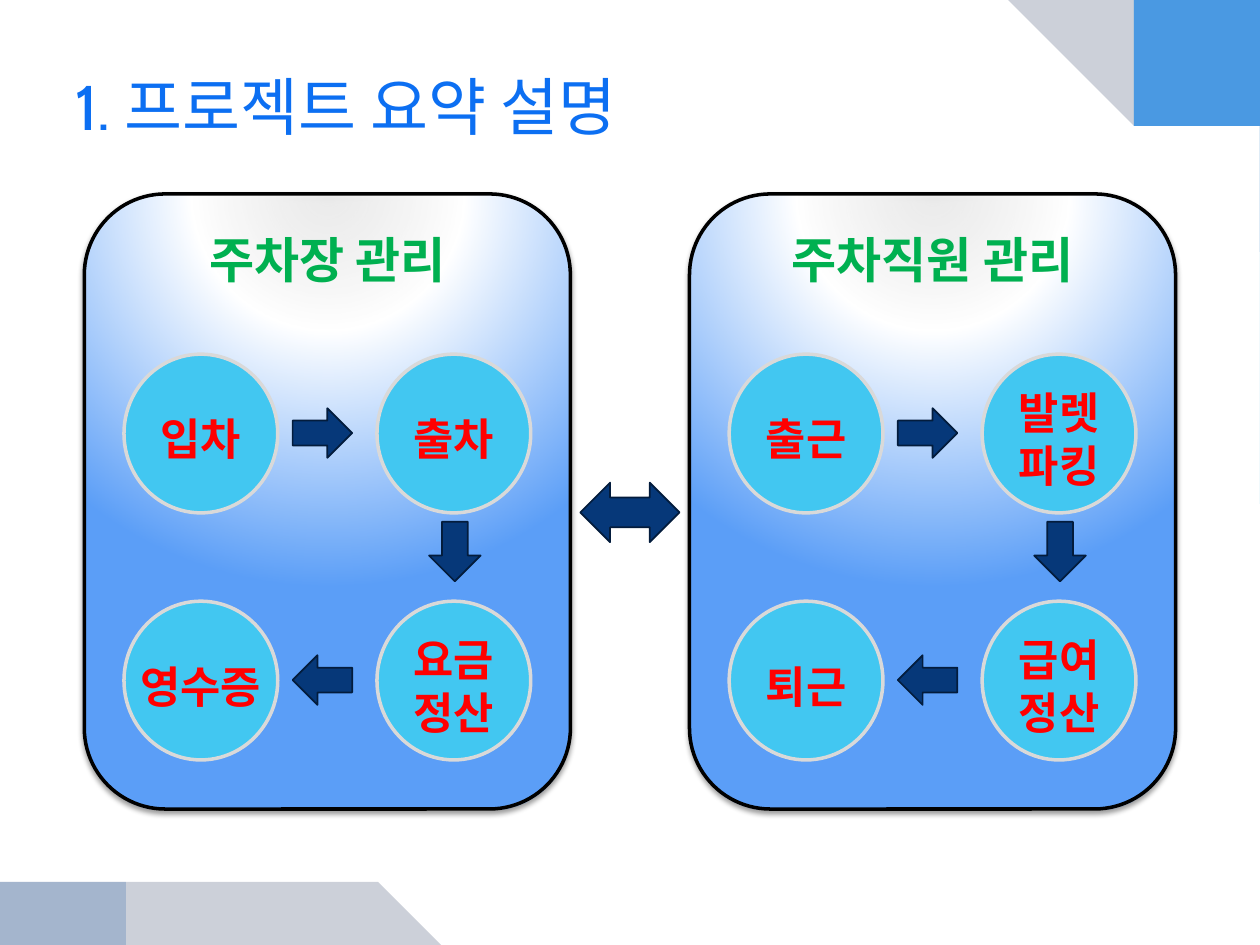
from pptx import Presentation
from pptx.dml.color import RGBColor
from pptx.enum.shapes import MSO_SHAPE
from pptx.enum.text import MSO_ANCHOR, PP_ALIGN
from pptx.oxml import parse_xml
from pptx.oxml.ns import nsdecls, qn
from pptx.util import Cm, Pt

ROUND_RECT = MSO_SHAPE.ROUNDED_RECTANGLE
OVAL = MSO_SHAPE.OVAL
RIGHT, DOWN = MSO_SHAPE.RIGHT_ARROW, MSO_SHAPE.DOWN_ARROW
LEFT, BOTH = MSO_SHAPE.LEFT_ARROW, MSO_SHAPE.LEFT_RIGHT_ARROW
MIDDLE = MSO_ANCHOR.MIDDLE
ALIGN_LEFT, ALIGN_CENTER = PP_ALIGN.LEFT, PP_ALIGN.CENTER

PANEL_GRADIENT = f"""<a:gradFill {nsdecls('a')} rotWithShape="1"><a:gsLst>
<a:gs pos="0"><a:srgbClr val="FFFFFF"><a:alpha val="70000"/></a:srgbClr></a:gs>
<a:gs pos="35000"><a:srgbClr val="FFFFFF"/></a:gs>
<a:gs pos="100000"><a:srgbClr val="5B9EF7"/></a:gs></a:gsLst>
<a:path path="circle"><a:fillToRect l="50000" t="-80000" r="50000" b="180000"/></a:path>
</a:gradFill>"""
PANEL_SHADOW = f"""<a:outerShdw {nsdecls('a')} blurRad="40000" dist="20000" dir="5400000"
rotWithShape="0"><a:srgbClr val="000000"><a:alpha val="38000"/></a:srgbClr></a:outerShdw>"""


def rgb(value):
    """Turn a hex string into a colour."""
    return RGBColor.from_string(value)


class Deck:
    """Holds the style and the current slide."""

    font = "Cabin"

    def __init__(self, prs):
        """Add a blank slide to draw on."""
        self.s = prs.slides.add_slide(prs.slide_layouts[6])

    def swoosh(self, points, color, opacity):
        """Draw a translucent closed outline, its points given in inches."""
        builder = self.s.shapes.build_freeform(*points[0], scale=Cm(2.54))
        builder.add_line_segments(points[1:], close=True)
        sp = builder.convert_to_shape()
        sp.shadow.inherit = False
        sp.line.fill.background()
        sp.fill.solid()
        sp.fill.fore_color.rgb = rgb(color)
        clr = sp._element.spPr.find(qn("a:solidFill"))[0]
        clr.append(parse_xml(f'<a:alpha {nsdecls("a")} val="{opacity * 1000}"/>'))

    def shape(self, kind, x, y, w, h, fill, line, weight):
        """Draw a preset shape; without a fill colour the fill is left open."""
        sp = self.s.shapes.add_shape(kind, Cm(x), Cm(y), Cm(w), Cm(h))
        sp.shadow.inherit = False
        sp.line.color.rgb = rgb(line)
        sp.line.width = Pt(weight)
        if fill:
            sp.fill.solid()
            sp.fill.fore_color.rgb = rgb(fill)
        return sp

    def panel(self, x, y, w, h):
        """Draw a rounded panel with a radial gradient and a soft shadow."""
        sp = self.shape(ROUND_RECT, x, y, w, h, None, "000000", 2)
        spPr = sp._element.spPr
        spPr.find(qn("a:prstGeom")).addnext(parse_xml(PANEL_GRADIENT))
        spPr.find(qn("a:effectLst")).append(parse_xml(PANEL_SHADOW))

    def circle(self, x, y, w, h):
        """Draw the disc of one step."""
        self.shape(OVAL, x, y, w, h, "42C7F1", "D9D9D9", 2)

    def arrow(self, kind, x, y, w, h):
        """Draw a dark block arrow."""
        self.shape(kind, x, y, w, h, "063879", "031C3C", 1)

    def text(self, text, x, y, w, h, size, color, bold=True, align=ALIGN_CENTER):
        """Write one paragraph, centred vertically in its box."""
        tf = self.s.shapes.add_textbox(Cm(x), Cm(y), Cm(w), Cm(h)).text_frame
        tf.word_wrap = True
        tf.vertical_anchor = MIDDLE
        p = tf.paragraphs[0]
        p.text = text
        p.alignment = align
        p.font.name = self.font
        p.font.size = Pt(size)
        p.font.bold = bold
        p.font.color.rgb = rgb(color)


SWOOSHES = [
    ("00B1E9", 45, [
        (10, 4.08), (10, 0), (8.92, 0), (8.98, 0.05), (9.07, 0.14), (9.15, 0.23),
        (9.23, 0.35), (9.3, 0.46), (9.37, 0.59), (9.45, 0.75), (9.52, 0.93),
        (9.59, 1.14), (9.66, 1.37), (9.73, 1.63), (9.79, 1.93), (9.85, 2.26),
        (9.9, 2.62), (9.94, 3.01), (9.97, 3.44), (9.99, 3.84)]),
    ("021741", 20, [
        (6.67, 0), (10, 0), (10, 2.15), (9.96, 2.02), (9.89, 1.84), (9.82, 1.69),
        (9.72, 1.52), (9.59, 1.34), (9.43, 1.15), (9.24, 0.95), (9.01, 0.76),
        (8.74, 0.58), (8.43, 0.42), (8.06, 0.27), (7.65, 0.15), (7.19, 0.06)]),
    ("247FF4", 49, [
        (6.67, 0), (10, 0), (10, 1.55), (9.94, 1.42), (9.86, 1.27), (9.75, 1.13),
        (9.63, 1), (9.48, 0.86), (9.3, 0.72), (9.08, 0.59), (8.82, 0.45),
        (8.51, 0.33), (8.16, 0.22), (7.76, 0.13), (7.31, 0.05), (6.94, 0.02)]),
    ("021741", 20, [
        (3.75, 7.5), (0, 7.5), (0, 6.08), (0.06, 6.2), (0.14, 6.31), (0.26, 6.44),
        (0.38, 6.55), (0.54, 6.68), (0.74, 6.8), (0.98, 6.93), (1.26, 7.05),
        (1.59, 7.17), (1.97, 7.27), (2.4, 7.36), (2.89, 7.43), (3.3, 7.47)]),
    ("084AA1", 20, [
        (0, 4.58), (0, 7.5), (1.11, 7.5), (1.01, 7.45), (0.91, 7.38), (0.81, 7.28),
        (0.71, 7.17), (0.62, 7.04), (0.52, 6.88), (0.42, 6.69), (0.32, 6.46),
        (0.24, 6.2), (0.16, 5.89), (0.09, 5.54), (0.04, 5.15), (0.01, 4.76)]),
]

# Each panel: left edge, heading, then two rows of two steps
PANELS = [
    (1.7, "주차장 관리", [["입차", "출차"], ["영수증", "요금정산"]]),
    (13.9, "주차직원 관리", [["출근", "발렛파킹"], ["퇴근", "급여정산"]]),
]
PANEL_TOP, PANEL_W, PANEL_H = 3.91, 9.8, 12.4
STEP_W, STEP_H, STEP_TOP = 3.1, 3.2, 7.14
STEP_DX, STEP_DY = 5.1, 4.98
LABEL_H = 1

prs = Presentation()
prs.slide_width, prs.slide_height = Cm(25.4), Cm(19.05)
deck = Deck(prs)

for color, opacity, points in SWOOSHES:
    deck.swoosh(points, color, opacity)
deck.text("1. 프로젝트 요약 설명", 1.27, 0.84, 22.86, 2.57, 36, "0C6FF2",
          bold=False, align=ALIGN_LEFT)

for left, heading, rows in PANELS:
    deck.panel(left, PANEL_TOP, PANEL_W, PANEL_H)
    deck.text(heading, left, 4.72, PANEL_W, LABEL_H, 28, "00B050")
    for i, row in enumerate(rows):
        for j, label in enumerate(row):
            x = left + 0.8 + j * STEP_DX
            y = STEP_TOP + i * STEP_DY
            deck.circle(x, y, STEP_W, STEP_H)
            # Four syllables break into two lines in the narrow box
            w = STEP_W if len(label) == 3 else 2.5
            deck.text(label, x + (STEP_W - w) / 2, y + (STEP_H - LABEL_H) / 2 + 0.1,
                      w, LABEL_H, 25, "FF0000")
    deck.arrow(RIGHT, left + 4.2, 8.23, 1.2, 1)
    deck.arrow(DOWN, left + 6.95, 10.52, 1.04, 1.2)
    deck.arrow(LEFT, left + 4.2, 8.23 + STEP_DY, 1.2, 1)

deck.arrow(BOTH, 11.7, 9.73, 2, 1.2)
prs.save("out.pptx")
